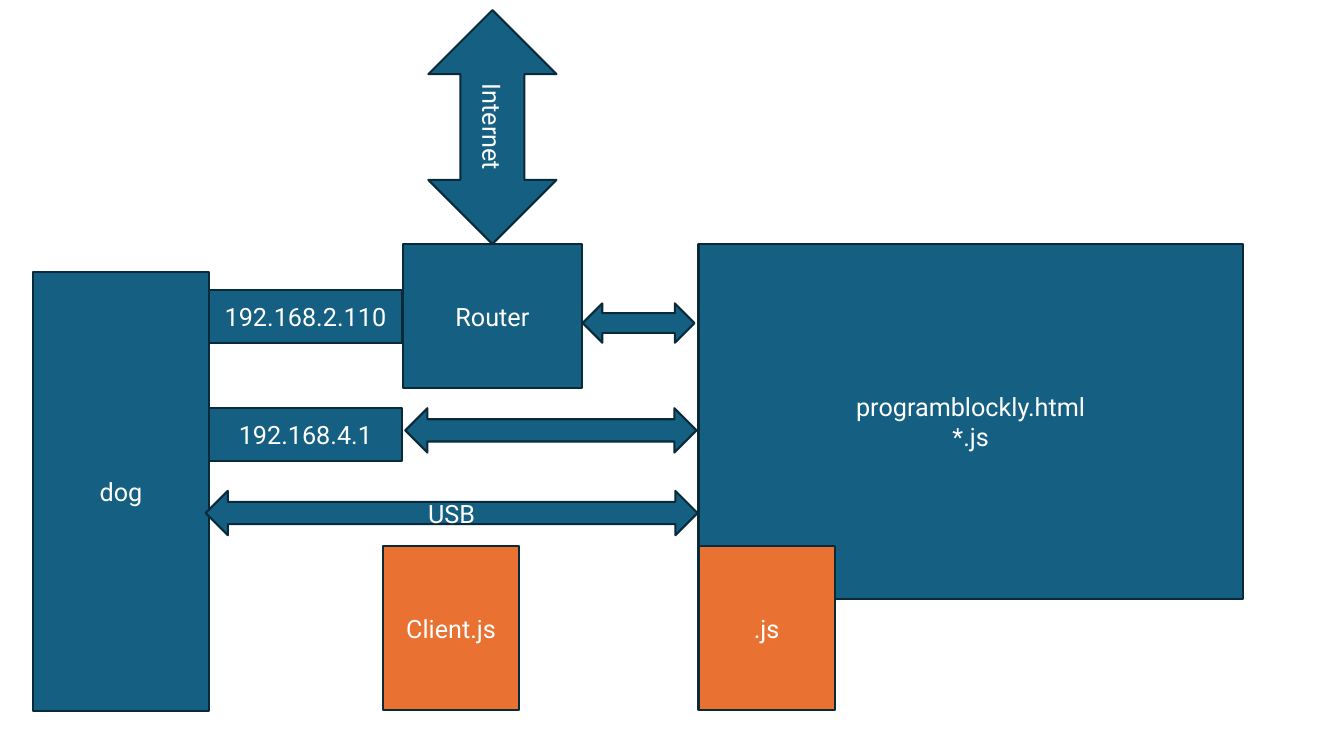
from dataclasses import dataclass

from pptx import Presentation
from pptx import util as u
from pptx.dml.color import RGBColor
from pptx.enum import shapes, text

CELL = u.Inches(0.1)
COLS, ROWS = 133.33, 75
RECT = shapes.MSO_SHAPE.RECTANGLE
ARROW = shapes.MSO_SHAPE.LEFT_RIGHT_ARROW


@dataclass(frozen=True)
class Theme:
    """Colours and type of the slide."""
    device: str = "156082"
    script: str = "E97132"
    line: str = "092A39"
    ink: str = "FFFFFF"
    font: str = "Roboto"
    size: float = 18
    stroke: float = 1.5


THEME = Theme()


def add_block(s, box, x, y, w, h, label="", kind=RECT, fill=THEME.device):
    """Add a labelled shape at grid cells counted from the box's corner."""
    cells = (box[0] + x, box[1] + y, w, h)
    sp = s.shapes.add_shape(kind, *(round(c * CELL) for c in cells))
    sp.shadow.inherit = False
    sp.fill.solid()
    sp.fill.fore_color.rgb = RGBColor.from_string(fill)
    sp.line.color.rgb = RGBColor.from_string(THEME.line)
    sp.line.width = u.Pt(THEME.stroke)
    if label:
        add_label(sp.text_frame, label)
    return sp


def add_label(tf, label):
    """Write each line of the label as a centred paragraph."""
    tf.word_wrap = True
    tf.vertical_anchor = text.MSO_ANCHOR.MIDDLE
    for i, line in enumerate(label.split("\n")):
        p = tf.add_paragraph() if i else tf.paragraphs[0]
        p.alignment = text.PP_ALIGN.CENTER
        r = p.add_run()
        r.text = line
        r.font.name = THEME.font
        r.font.size = u.Pt(THEME.size)
        r.font.color.rgb = RGBColor.from_string(THEME.ink)


def add_dog(s, box):
    """Place the dog with its two network addresses."""
    dog_w, port_h = 17.4, 5.2
    add_block(s, box, 0, 0, dog_w, box[3], "dog")
    for y, address in ((1.8, "192.168.2.110"), (13.5, "192.168.4.1")):
        add_block(s, box, dog_w, y, box[2] - dog_w, port_h, address)


def add_program(s, box):
    """Place the program with its script at the lower left."""
    script_w, script_h = 13.5, 16.2
    add_block(s, box, 0, 0, box[2], 35.2, "programblockly.html\n*.js")
    add_block(s, box, 0, box[3] - script_h, script_w, script_h, ".js",
              fill=THEME.script)


def add_router(s, box):
    """Place the router under the upright internet arrow."""
    router_h, arrow_w = 14.3, 12.7
    length = box[3] - router_h
    add_block(s, box, 0, length, box[2], router_h, "Router")
    sp = add_block(s, box, (box[2] - length) / 2, (length - arrow_w) / 2,
                   length, arrow_w, "Internet", ARROW)
    sp.rotation = 90


def add_links(s, box):
    """Place the links to the program and the client script below them."""
    for x, y, w, h, label in ((37.4, 0, 11.1, 3.9, ""),
                              (19.8, 10.4, 28.9, 4.4, ""),
                              (0, 18.6, 48.8, 4.4, "USB")):
        add_block(s, box, x, y, w, h, label, ARROW)
    client_h = 16.2
    add_block(s, box, 17.6, box[3] - client_h, 13.5, client_h, "Client.js",
              fill=THEME.script)


def main():
    """Build and save the slide."""
    prs = Presentation()
    prs.slide_width = round(COLS * CELL)
    prs.slide_height = ROWS * CELL
    s = prs.slides.add_slide(prs.slide_layouts[6])
    add_dog(s, (3.3, 27, 36.6, 43.5))
    add_program(s, (69.3, 24.2, 54, 46.2))
    add_router(s, (40, 1, 17.7, 37.5))
    add_links(s, (20.4, 30.1, 48.9, 40.3))
    prs.save("out.pptx")


if __name__ == "__main__":
    main()
